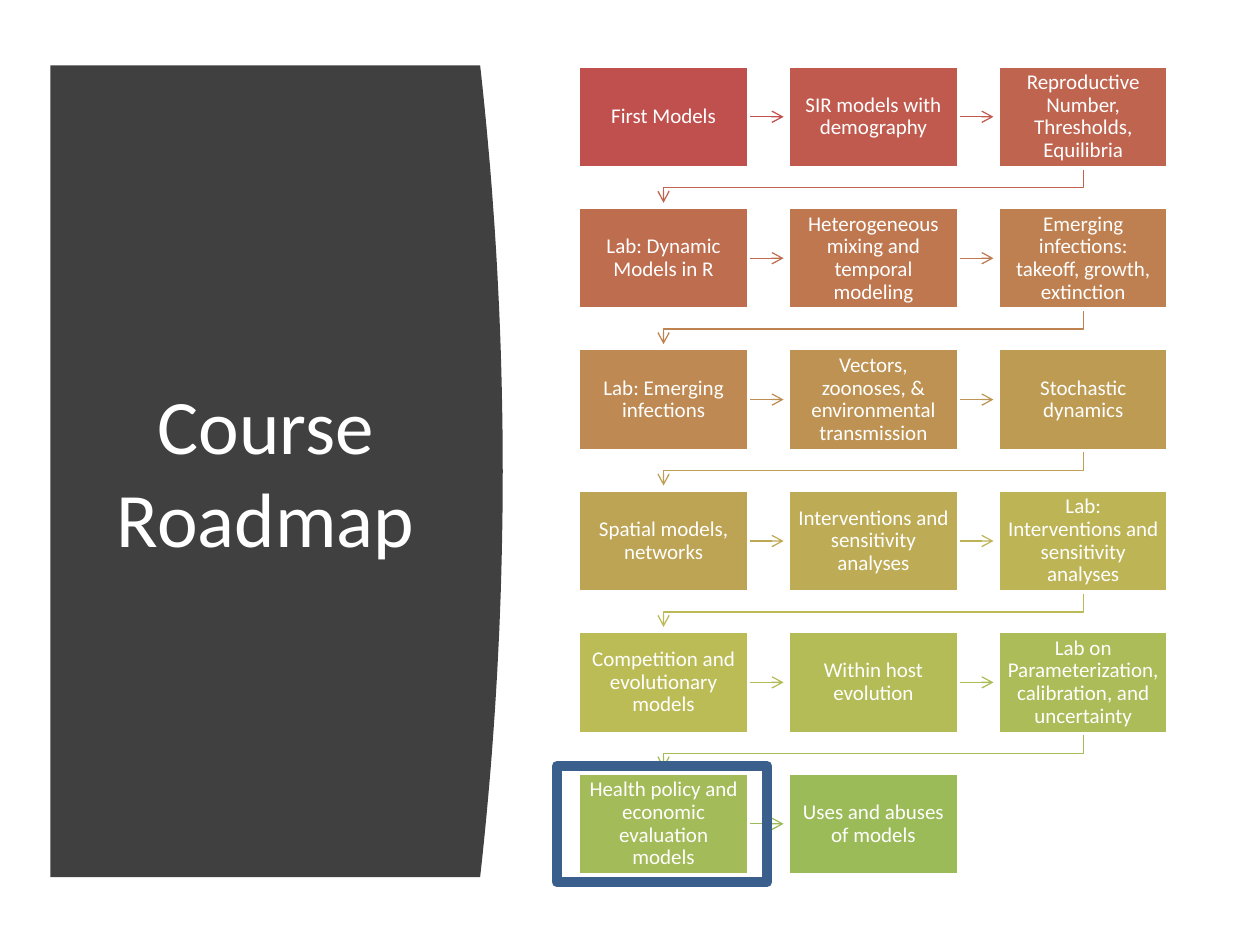
from colorsys import hls_to_rgb, rgb_to_hls

from lxml import etree
from pptx import Presentation
from pptx.dml.color import RGBColor
from pptx.enum.shapes import MSO_CONNECTOR, MSO_SHAPE
from pptx.enum.text import MSO_ANCHOR, MSO_AUTO_SIZE, PP_ALIGN
from pptx.oxml.ns import qn
from pptx.util import Pt

# Content
TITLE = "Course Roadmap"
TOPICS = [
    "First Models",
    "SIR models with demography",
    "Reproductive Number, Thresholds, Equilibria",
    "Lab: Dynamic Models in R",
    "Heterogeneous mixing and temporal modeling",
    "Emerging infections: takeoff, growth, extinction",
    "Lab: Emerging infections",
    "Vectors, zoonoses, & environmental transmission",
    "Stochastic dynamics",
    "Spatial models, networks",
    "Interventions and sensitivity analyses",
    "Lab: Interventions and sensitivity analyses",
    "Competition and evolutionary models",
    "Within host evolution",
    "Lab on Parameterization, calibration, and uncertainty",
    "Health policy and economic evaluation models",
    "Uses and abuses of models",
]
CURRENT_TOPIC = 15

# Style
FONT = "Calibri"
WHITE = RGBColor(0xFF, 0xFF, 0xFF)
CHARCOAL = RGBColor(0x40, 0x40, 0x40)
HIGHLIGHT_BLUE = RGBColor(0x3A, 0x5F, 0x8C)
FIRST_RED = RGBColor(0xC0, 0x50, 0x4D)
LAST_GREEN = RGBColor(0x9B, 0xBB, 0x59)

# Layout in points
COLUMNS = 3
GRID_LEFT, GRID_TOP = 330.6, 37.6
COLUMN_STEP, ROW_STEP = 119.9, 80.8
BOX_WIDTH, BOX_HEIGHT = 97.2, 58.3
ARROW_LENGTH, ELBOW_DROP = 20, 11.4
PANEL_LEFT, PANEL_TOP, PANEL_RIGHT, PANEL_BOTTOM = 28.8, 37.4, 274.4, 501.2
PANEL_BULGE, PANEL_STEPS = 12.9, 40


def blend(share):
    """Colour between the first and last topic, mixed by hue."""
    first, last = (rgb_to_hls(*(part / 255 for part in colour))
                   for colour in (FIRST_RED, LAST_GREEN))
    mixed = (a + (b - a) * share for a, b in zip(first, last))
    return RGBColor(*(round(part * 255) for part in hls_to_rgb(*mixed)))


def box_position(index):
    row, column = divmod(index, COLUMNS)
    return GRID_LEFT + column * COLUMN_STEP, GRID_TOP + row * ROW_STEP


def add_outline(shapes, points, close):
    points = [(Pt(x), Pt(y)) for x, y in points]
    builder = shapes.build_freeform(*points[0])
    builder.add_line_segments(points[1:], close=close)
    shape = builder.convert_to_shape()
    shape.shadow.inherit = False
    return shape


def add_panel(shapes):
    height = PANEL_BOTTOM - PANEL_TOP
    points = [(PANEL_LEFT, PANEL_TOP)]
    for step in range(PANEL_STEPS + 1):
        share = step / PANEL_STEPS
        bulge = PANEL_BULGE * 4 * share * (1 - share)
        points.append((PANEL_RIGHT + bulge, PANEL_TOP + share * height))
    points.append((PANEL_LEFT, PANEL_BOTTOM))
    panel = add_outline(shapes, points, close=True)
    panel.fill.solid()
    panel.fill.fore_color.rgb = CHARCOAL
    panel.line.fill.background()
    return panel


def format_text(text_frame, size):
    text_frame.word_wrap = True
    text_frame.auto_size = MSO_AUTO_SIZE.NONE
    text_frame.vertical_anchor = MSO_ANCHOR.MIDDLE
    paragraph = text_frame.paragraphs[0]
    paragraph.alignment = PP_ALIGN.CENTER
    font = paragraph.runs[0].font
    font.name, font.size, font.color.rgb = FONT, Pt(size), WHITE


def add_box(shapes, index, topic):
    left, top = box_position(index)
    box = shapes.add_shape(MSO_SHAPE.RECTANGLE, Pt(left), Pt(top),
                           Pt(BOX_WIDTH), Pt(BOX_HEIGHT))
    box.shadow.inherit = False
    box.fill.solid()
    box.fill.fore_color.rgb = blend(index / (len(TOPICS) - 1))
    box.line.color.rgb = WHITE
    box.line.width = Pt(2)
    text_frame = box.text_frame
    text_frame.text = topic
    text_frame.margin_left = text_frame.margin_right = Pt(5)
    text_frame.margin_top = text_frame.margin_bottom = Pt(5)
    text_frame.paragraphs[0].line_spacing = 0.9
    format_text(text_frame, 12)
    return box


def add_arrow(shapes, index, box):
    """Arrow from one topic towards the next, in the row or down a row."""
    left, top = box_position(index)
    if index % COLUMNS < COLUMNS - 1:
        right, middle = left + BOX_WIDTH, top + BOX_HEIGHT / 2
        arrow = shapes.add_connector(MSO_CONNECTOR.STRAIGHT, Pt(right), Pt(middle),
                                     Pt(right + ARROW_LENGTH), Pt(middle))
        arrow.begin_connect(box, 3)
        etree.SubElement(arrow._element.spPr, qn("a:effectLst"))
    else:
        start_x, start_y = left + BOX_WIDTH / 2, top + BOX_HEIGHT
        end_x = GRID_LEFT + BOX_WIDTH / 2
        arrow = add_outline(shapes, [
            (start_x, start_y),
            (start_x, start_y + ELBOW_DROP),
            (end_x, start_y + ELBOW_DROP),
            (end_x, start_y + ARROW_LENGTH),
        ], close=False)
        arrow.fill.background()
    arrow.line.color.rgb = blend(index / (len(TOPICS) - 2))
    arrow.line.width = Pt(0.75)
    etree.SubElement(arrow.line._get_or_add_ln(), qn("a:tailEnd"), type="arrow")
    return arrow


def main():
    presentation = Presentation()
    presentation.slide_width, presentation.slide_height = Pt(720), Pt(540)
    slide = presentation.slides.add_slide(presentation.slide_layouts[5])
    shapes = slide.shapes

    # Title on its dark panel
    title = shapes.title
    title.left, title.top, title.width, title.height = Pt(51), Pt(80), Pt(201.6), Pt(377.3)
    title.text_frame.text = TITLE
    format_text(title.text_frame, 44)
    title._element.addprevious(add_panel(shapes)._element)

    # Roadmap, with the arrows behind the boxes
    boxes = [add_box(shapes, index, topic) for index, topic in enumerate(TOPICS)]
    for index, box in enumerate(boxes[:-1]):
        arrow = add_arrow(shapes, index, box)
        boxes[0]._element.addprevious(arrow._element)

    # Frame around the current topic
    left, top = box_position(CURRENT_TOPIC)
    frame = shapes.add_shape(MSO_SHAPE.RECTANGLE, Pt(left - 12.4), Pt(top - 3.8),
                             Pt(120.2), Pt(66.2))
    frame.shadow.inherit = False
    frame.fill.background()
    frame.line.color.rgb = HIGHLIGHT_BLUE
    frame.line.width = Pt(6)

    presentation.save("out.pptx")


if __name__ == "__main__":
    main()
